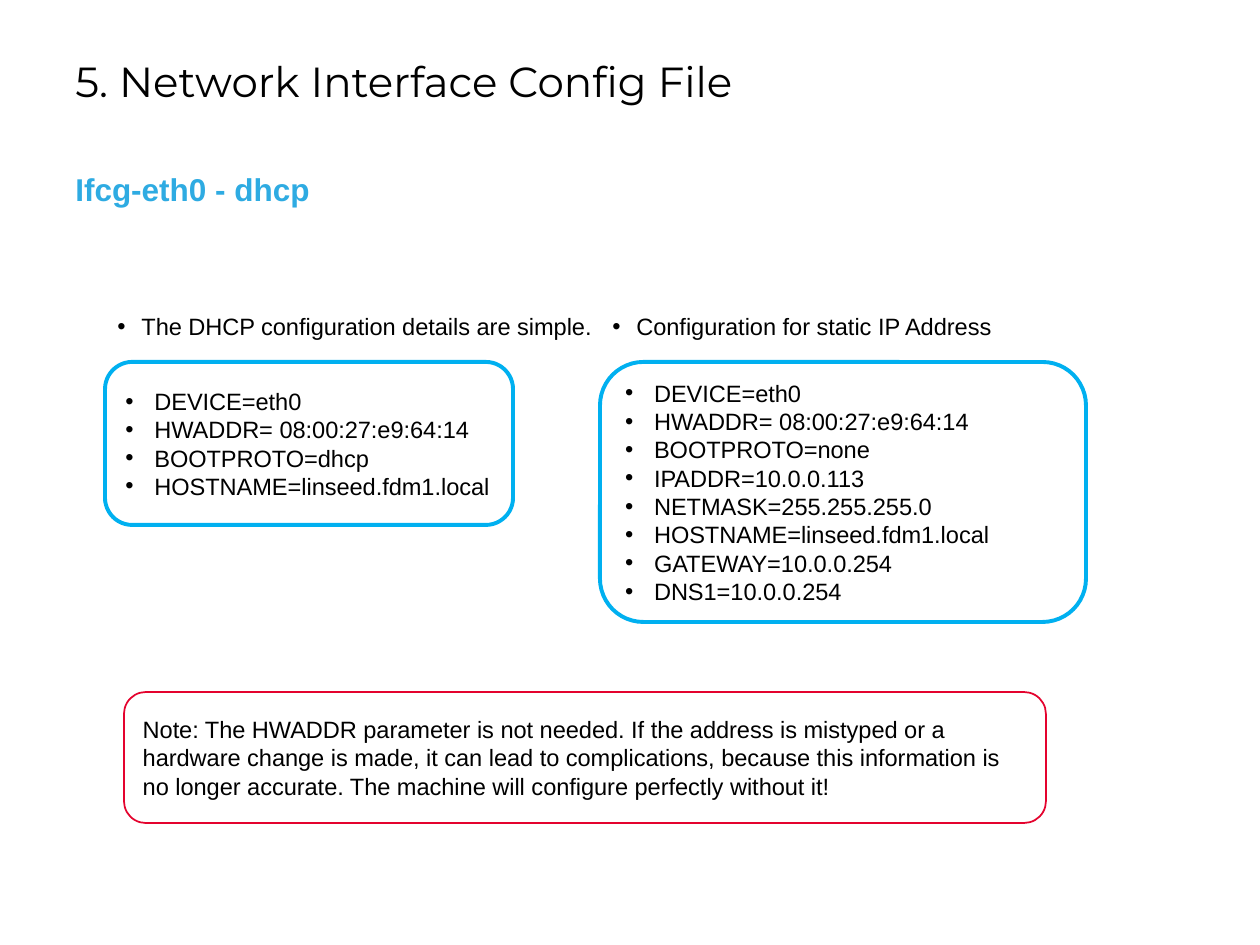
from dataclasses import dataclass

from lxml import etree
from pptx import Presentation
from pptx.dml.color import RGBColor
from pptx.enum.shapes import MSO_SHAPE
from pptx.enum.text import MSO_ANCHOR, PP_ALIGN
from pptx.oxml.ns import qn
from pptx.util import Emu, Pt

ROUNDED = MSO_SHAPE.ROUNDED_RECTANGLE
TOP = MSO_ANCHOR.TOP
MIDDLE = MSO_ANCHOR.MIDDLE
LEFT = PP_ALIGN.LEFT

PX = 914400 / 126
BLACK, WHITE, BLUE, RED = "000000", "FFFFFF", "00B0F0", "E4032E"
BODY_FORMAT = {"name": "Arial", "size": Pt(13.5), "bold": False}
TITLE_FORMAT = {"name": "Montserrat", "size": Pt(24), "bold": False}
SUBTITLE_FORMAT = {"name": "Arial", "size": Pt(18), "bold": True}


@dataclass(frozen=True)
class Box:
    left: int
    top: int
    width: int
    height: int


@dataclass(frozen=True)
class TextLabel:
    box: Box
    text: str
    font_format: dict
    color: str = BLACK
    indent: int = 0
    space_after: float = 0


@dataclass(frozen=True)
class Panel:
    box: Box
    lines: tuple[str, ...]
    line_color: str
    line_width: float
    fill_color: str | None = None
    indent: int = 0


def px(length: int) -> Emu:
    return Emu(round(length * PX))


def rgb(color: str) -> RGBColor:
    return RGBColor.from_string(color)


def place(box: Box) -> tuple[Emu, Emu, Emu, Emu]:
    return px(box.left), px(box.top), px(box.width), px(box.height)


def add_bullet(paragraph, indent: int) -> None:
    properties = paragraph._p.get_or_add_pPr()
    properties.set("marL", str(px(indent)))
    properties.set("indent", str(-px(indent)))
    font = etree.SubElement(properties, qn("a:buFont"))
    font.set("typeface", "Arial")
    bullet = etree.SubElement(properties, qn("a:buChar"))
    bullet.set("char", "•")


def write_lines(shape, lines: tuple[str, ...], anchor, font_format: dict,
                color: str, indent: int, space_after: float) -> None:
    frame = shape.text_frame
    frame.word_wrap = True
    frame.vertical_anchor = anchor
    for index, line in enumerate(lines):
        paragraph = frame.add_paragraph() if index else frame.paragraphs[0]
        if indent:
            add_bullet(paragraph, indent)
        paragraph.alignment = LEFT
        paragraph.space_after = Pt(space_after)
        run = paragraph.add_run()
        run.text = line
        for name, value in font_format.items():
            setattr(run.font, name, value)
        run.font.color.rgb = rgb(color)


def draw_label(slide, label: TextLabel) -> None:
    shape = slide.shapes.add_textbox(*place(label.box))
    write_lines(shape, (label.text,), TOP, label.font_format, label.color,
                label.indent, label.space_after)


def draw_panel(slide, panel: Panel) -> None:
    shape = slide.shapes.add_shape(ROUNDED, *place(panel.box))
    shape.shadow.inherit = False
    if panel.fill_color:
        shape.fill.solid()
        shape.fill.fore_color.rgb = rgb(panel.fill_color)
    else:
        shape.fill.background()
    shape.line.color.rgb = rgb(panel.line_color)
    shape.line.width = Pt(panel.line_width)
    write_lines(shape, panel.lines, MIDDLE, BODY_FORMAT, BLACK, panel.indent, 0)


LABELS = (
    TextLabel(Box(63, 49, 1137, 63), "5. Network Interface Config File", TITLE_FORMAT),
    TextLabel(Box(63, 164, 1137, 50), "Ifcg-eth0 - dhcp", SUBTITLE_FORMAT,
              color="2EABE2", space_after=4.5),
    TextLabel(Box(105, 306, 508, 39), "The DHCP configuration details are simple.",
              BODY_FORMAT, indent=24, space_after=4.5),
    TextLabel(Box(600, 306, 508, 116), "Configuration for static IP Address",
              BODY_FORMAT, indent=24, space_after=4.5),
)

DEVICE_LINES = ("DEVICE=eth0", "HWADDR= 08:00:27:e9:64:14")
HOSTNAME = "HOSTNAME=linseed.fdm1.local"
NOTE = (
    "Note: The HWADDR parameter is not needed. If the address is mistyped or a "
    "hardware change is made, it can lead to complications, because this information "
    "is no longer accurate. The machine will configure perfectly without it!"
)

PANELS = (
    Panel(Box(105, 362, 408, 163), (*DEVICE_LINES, "BOOTPROTO=dhcp", HOSTNAME),
          BLUE, 2.25, indent=29),
    Panel(Box(124, 692, 922, 131), (NOTE,), RED, 1, fill_color=WHITE),
    Panel(Box(600, 362, 486, 260),
          (*DEVICE_LINES, "BOOTPROTO=none", "IPADDR=10.0.0.113", "NETMASK=255.255.255.0",
           HOSTNAME, "GATEWAY=10.0.0.254", "DNS1=10.0.0.254"),
          BLUE, 2.25, indent=29),
)


def main() -> None:
    presentation = Presentation()
    presentation.slide_width = px(1260)
    presentation.slide_height = px(945)
    slide = presentation.slides.add_slide(presentation.slide_layouts[6])
    for label in LABELS:
        draw_label(slide, label)
    for panel in PANELS:
        draw_panel(slide, panel)
    presentation.save("out.pptx")


if __name__ == "__main__":
    main()
